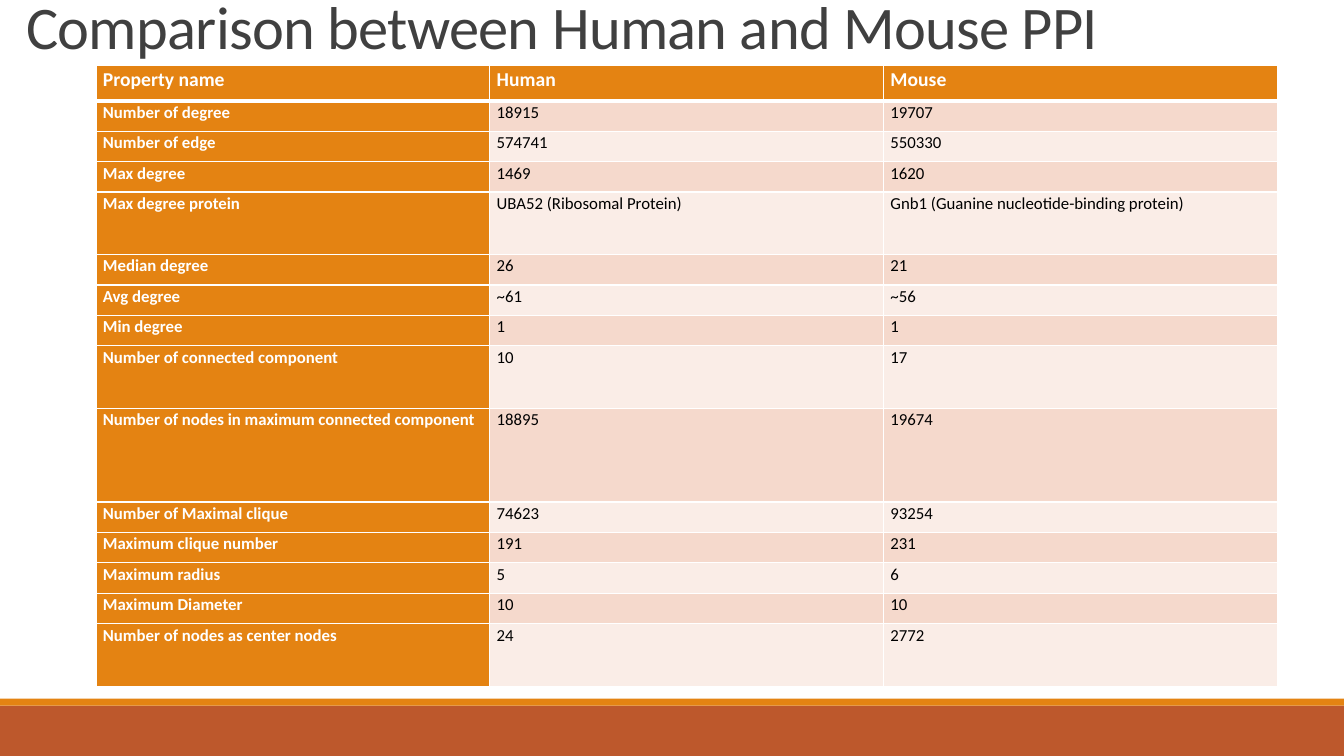
"""Build a slide with a table comparing the human and mouse PPI networks."""
from lxml import etree
from pptx import Presentation
from pptx.dml.color import RGBColor
from pptx.enum.shapes import MSO_SHAPE
from pptx.enum.text import MSO_ANCHOR, MSO_AUTO_SIZE, PP_ALIGN
from pptx.oxml.ns import qn
from pptx.util import Pt

RECT = MSO_SHAPE.RECTANGLE
BOTTOM = MSO_ANCHOR.BOTTOM
LEFT = PP_ALIGN.LEFT
FIXED = MSO_AUTO_SIZE.NONE
FONT = "Calibri"
HEX = {"orange": "E48312", "rust": "BD582C", "title": "404040", "white": "FFFFFF",
       "black": "000000", "dark": "F5D9CC", "light": "FAEDE7"}
WIDE, HIGH = 960, 540
ONE, TWO, THREE = 21.75, 44.6, 67
ROWS = [
    (25, "Property name", "Human", "Mouse"),
    (ONE, "Number of degree", "18915", "19707"),
    (ONE, "Number of edge", "574741", "550330"),
    (ONE, "Max degree", "1469", "1620"),
    (TWO, "Max degree protein", "UBA52 (Ribosomal Protein)",
     "Gnb1 (Guanine nucleotide-binding protein)"),
    (ONE, "Median degree", "26", "21"),
    (ONE, "Avg degree", "~61", "~56"),
    (ONE, "Min degree", "1", "1"),
    (TWO, "Number of connected component", "10", "17"),
    (THREE, "Number of nodes in maximum connected component", "18895", "19674"),
    (ONE, "Number of Maximal clique", "74623", "93254"),
    (ONE, "Maximum clique number", "191", "231"),
    (ONE, "Maximum radius", "5", "6"),
    (ONE, "Maximum Diameter", "10", "10"),
    (TWO, "Number of nodes as center nodes", "24", "2772"),
]


def write(frame, text, size, color, bold, space):
    para = frame.paragraphs[0]
    para.alignment = LEFT
    para.line_spacing = space
    run = para.add_run()
    run.text = text
    font = run.font
    font.name, font.size, font.bold = FONT, Pt(size), bold
    font.color.rgb = RGBColor.from_string(HEX[color])
    return run


def edge(cell, side, width):
    line = etree.SubElement(cell._tc.get_or_add_tcPr(), qn(f"a:ln{side}"), w=str(Pt(width)))
    fill = etree.SubElement(line, qn("a:solidFill"))
    etree.SubElement(fill, qn("a:srgbClr"), val=HEX["white"])


deck = Presentation()
deck.slide_width, deck.slide_height = Pt(WIDE), Pt(HIGH)
slide = deck.slides.add_slide(deck.slide_layouts[5])

for top, height, color in [(504, 36, "rust"), (499, 5, "orange")]:
    band = slide.shapes.add_shape(RECT, 0, Pt(top), Pt(WIDE), Pt(height))
    band.shadow.inherit = False
    band.fill.solid()
    band.fill.fore_color.rgb = RGBColor.from_string(HEX[color])
    band.line.fill.background()

title = slide.shapes.title
title.left, title.top, title.width, title.height = Pt(11.5), Pt(0), Pt(828), Pt(47.5)
frame = title.text_frame
frame.auto_size = FIXED
frame.word_wrap = True
frame.vertical_anchor = BOTTOM
run = write(frame, "Comparison between Human and Mouse PPI", 43.2, "title", False, 0.85)
run.font._element.set("spc", "-50")

total = sum(row[0] for row in ROWS)
table = slide.shapes.add_table(len(ROWS), 3, Pt(68.5), Pt(47), Pt(843.9), Pt(total)).table
for col in table.columns:
    col.width = Pt(281.3)

for i, (height, *texts) in enumerate(ROWS):
    table.rows[i].height = Pt(height)
    for j, text in enumerate(texts):
        cell = table.cell(i, j)
        head = i == 0 or j == 0
        cell.margin_left = cell.margin_right = Pt(5)
        cell.margin_top = cell.margin_bottom = 0
        for side in "LRTB":
            thick = (i, side) in [(0, "B"), (1, "T")]
            edge(cell, side, 3 if thick else 1)
        cell.fill.solid()
        shade = "orange" if head else "dark" if i % 2 else "light"
        cell.fill.fore_color.rgb = RGBColor.from_string(HEX[shade])
        size = 12 if i else 14
        write(cell.text_frame, text, size, "white" if head else "black", head, 1.07)

deck.save("out.pptx")
